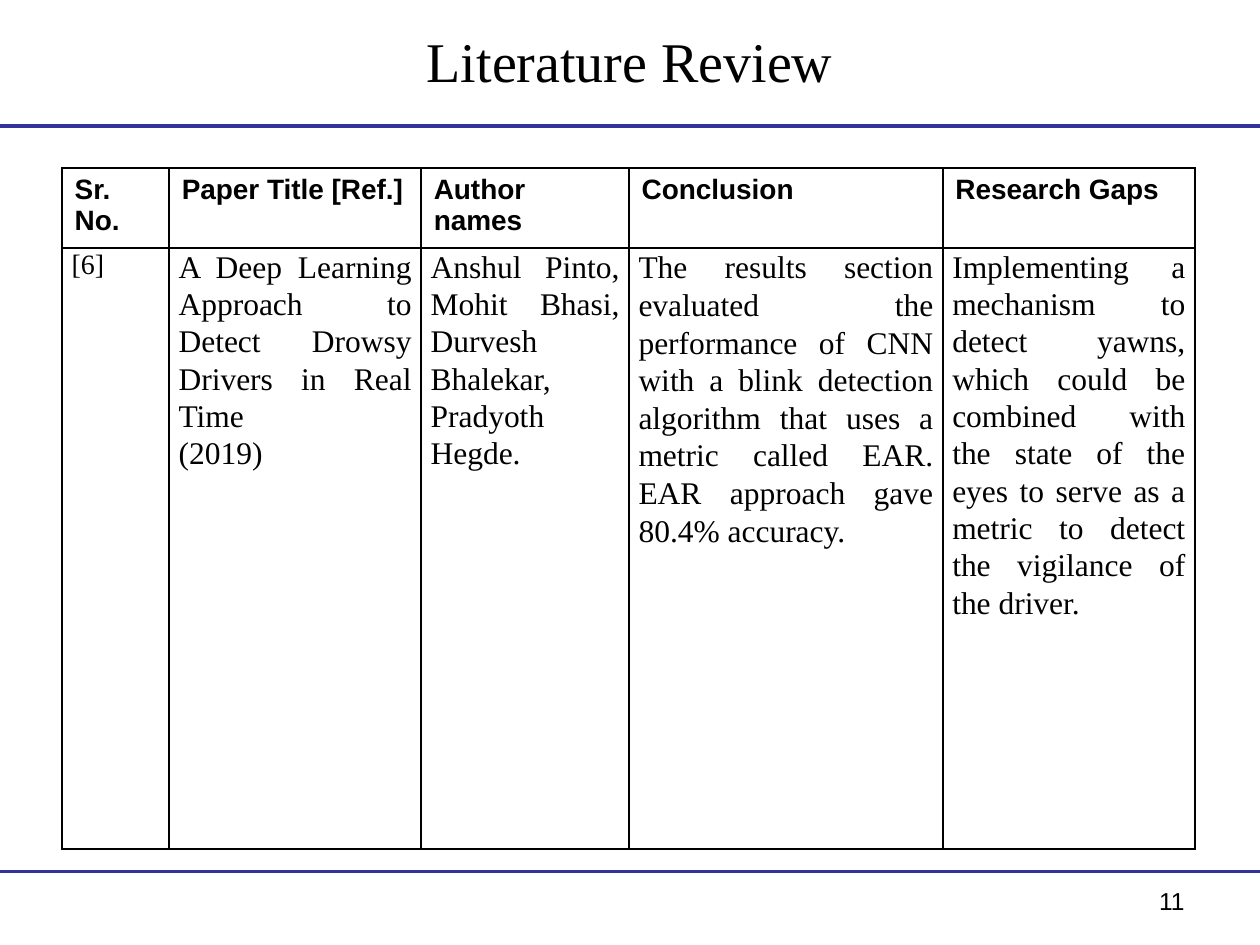
from lxml.etree import SubElement
from pptx import Presentation
from pptx.dml.color import RGBColor
from pptx.enum.shapes import MSO_CONNECTOR
from pptx.enum.text import MSO_ANCHOR, PP_ALIGN
from pptx.oxml.ns import qn
from pptx.util import Pt

SANS, SERIF = "Arial", "Times New Roman"
BLACK, WHITE, RULE_BLUE = "000000", "FFFFFF", "333399"
SLIDE_WIDTH, SLIDE_HEIGHT = 720, 540
COLUMN_WIDTHS = [61.2, 144, 118.8, 179.3, 144]
ROW_HEIGHTS = [45.5, 343.5]

HEADINGS = ["Sr. No.", "Paper Title [Ref.]", "Author names", "Conclusion", "Research Gaps"]
REVIEW = [
    "[6]",
    "A Deep Learning Approach to Detect Drowsy Drivers in Real Time\n(2019)",
    "Anshul Pinto, Mohit Bhasi, Durvesh Bhalekar, Pradyoth Hegde.",
    "The results section evaluated the performance of CNN with a blink detection "
    "algorithm that uses a metric called EAR. EAR approach gave 80.4% accuracy.",
    "Implementing a mechanism to detect yawns, which could be combined with the state "
    "of the eyes to serve as a metric to detect the vigilance of the driver.",
]


def color(hex_code):
    return RGBColor.from_string(hex_code)


class ReviewSlide:
    def __init__(self, presentation):
        self.slide = presentation.slides.add_slide(presentation.slide_layouts[5])

    def set_text(self, frame, text, size, font, align, bold=False, spacing=None):
        frame.text = text
        frame.word_wrap = True
        for paragraph in frame.paragraphs:
            paragraph.alignment = align
            paragraph.line_spacing = spacing
            paragraph.font.size = Pt(size)
            paragraph.font.name = font
            paragraph.font.bold = bold
            paragraph.font.color.rgb = color(BLACK)

    def title(self, text, left, top, width, height):
        title = self.slide.shapes.title
        title.left, title.top, title.width, title.height = map(Pt, (left, top, width, height))
        title.text_frame.vertical_anchor = MSO_ANCHOR.MIDDLE
        self.set_text(title.text_frame, text, 32, SERIF, PP_ALIGN.CENTER)

    def rule(self, y):
        rule = self.slide.shapes.add_connector(
            MSO_CONNECTOR.STRAIGHT, Pt(0), Pt(y), Pt(SLIDE_WIDTH), Pt(y))
        rule.line.color.rgb = color(RULE_BLUE)
        rule.line.width = Pt(2.25)
        SubElement(rule._element.spPr, qn("a:effectLst"))

    def page_number(self, text, left, top, width, height):
        number = self.slide.shapes.add_textbox(*map(Pt, (left, top, width, height)))
        self.set_text(number.text_frame, text, 14, SANS, PP_ALIGN.RIGHT)

    def border(self, cell):
        properties = cell._tc.get_or_add_tcPr()
        for position, side in enumerate(("lnL", "lnR", "lnT", "lnB")):
            line = properties.makeelement(qn(f"a:{side}"), {"w": str(Pt(1))})
            fill = SubElement(line, qn("a:solidFill"))
            SubElement(fill, qn("a:srgbClr"), val=BLACK)
            properties.insert(position, line)

    def cell(self, cell, text, margins, **style):
        side, end = map(Pt, margins)
        cell.margin_left = cell.margin_right = side
        cell.margin_top = cell.margin_bottom = end
        cell.fill.solid()
        cell.fill.fore_color.rgb = color(WHITE)
        self.border(cell)
        self.set_text(cell.text_frame, text, **style)

    def table(self, left, top):
        table = self.slide.shapes.add_table(
            len(ROW_HEIGHTS), len(COLUMN_WIDTHS), Pt(left), Pt(top),
            Pt(sum(COLUMN_WIDTHS)), Pt(sum(ROW_HEIGHTS))).table
        for row, height in zip(table.rows, ROW_HEIGHTS):
            row.height = Pt(height)
        for index, width in enumerate(COLUMN_WIDTHS):
            table.columns[index].width = Pt(width)
            self.cell(table.cell(0, index), HEADINGS[index], (7.2, 3.6),
                      size=16, font=SANS, align=PP_ALIGN.LEFT, bold=True)
            self.cell(table.cell(1, index), REVIEW[index], (5.4, 0),
                      size=16 if index == 0 else 18, font=SERIF, align=PP_ALIGN.JUSTIFY,
                      spacing=1.08 if index == 3 else 1.07)


def main():
    presentation = Presentation()
    presentation.slide_width, presentation.slide_height = Pt(SLIDE_WIDTH), Pt(SLIDE_HEIGHT)
    page = ReviewSlide(presentation)
    page.rule(72)
    page.rule(498)
    page.page_number("11", 516, 502.5, 168, 37.5)
    page.title("Literature Review", 36, 9.5, 648, 50)
    page.table(35.5, 96)
    presentation.save("out.pptx")


if __name__ == "__main__":
    main()
